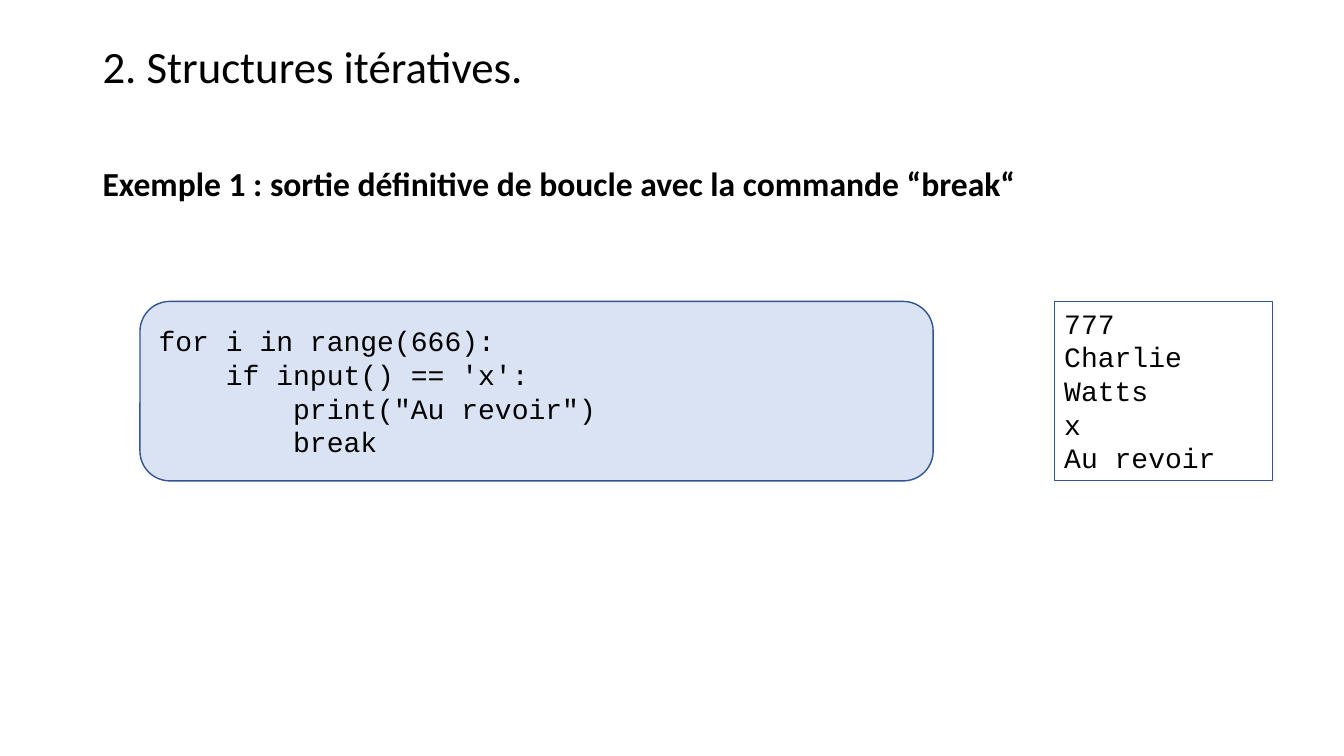
from dataclasses import dataclass

from pptx import Presentation
from pptx.dml.color import RGBColor
from pptx.enum.shapes import MSO_SHAPE
from pptx.enum.text import MSO_ANCHOR, PP_ALIGN
from pptx.util import Pt

RECTANGLE = MSO_SHAPE.RECTANGLE
ROUNDED = MSO_SHAPE.ROUNDED_RECTANGLE
TOP, MIDDLE = MSO_ANCHOR.TOP, MSO_ANCHOR.MIDDLE
LEFT = PP_ALIGN.LEFT


@dataclass(frozen=True)
class Theme:
    ink: RGBColor = RGBColor(0x00, 0x00, 0x00)
    panel: RGBColor = RGBColor(0xDA, 0xE3, 0xF3)
    border: RGBColor = RGBColor(0x32, 0x54, 0x91)
    text_font: str = "Calibri"
    code_font: str = "Courier New"
    title_size: int = 32
    heading_size: int = 24
    code_size: int = 20


THEME = Theme()
TITLE_FORMAT = {"name": THEME.text_font, "size": Pt(THEME.title_size)}
HEADING_FORMAT = {"name": THEME.text_font, "size": Pt(THEME.heading_size), "bold": True}
CODE_FORMAT = {"name": THEME.code_font, "size": Pt(THEME.code_size)}

PROGRAM = [
    "for i in range(666):",
    "    if input() == 'x':",
    "        print(\"Au revoir\")",
    "        break",
]
CONSOLE = ["777", "Charlie", "Watts", "x", "Au revoir"]


def write_lines(shape, lines, font_format, anchor=TOP, line_spacing=1.0):
    frame = shape.text_frame
    frame.word_wrap = True
    frame.vertical_anchor = anchor
    for index, line in enumerate(lines):
        paragraph = frame.paragraphs[0] if index == 0 else frame.add_paragraph()
        paragraph.alignment = LEFT
        paragraph.line_spacing = line_spacing
        run = paragraph.add_run()
        run.text = line
        for attribute, value in font_format.items():
            setattr(run.font, attribute, value)
        run.font.color.rgb = THEME.ink


def add_panel(slide, kind, box, line_width, fill=None):
    shape = slide.shapes.add_shape(kind, *map(Pt, box))
    shape.shadow.inherit = False
    if fill is None:
        shape.fill.background()
    else:
        shape.fill.solid()
        shape.fill.fore_color.rgb = fill
    shape.line.color.rgb = THEME.border
    shape.line.width = Pt(line_width)
    return shape


def add_headings(slide, box):
    """Slide title with the example heading below it."""
    left, top, width, height = box
    title = slide.shapes.add_textbox(Pt(left), Pt(top), Pt(width), Pt(45))
    write_lines(title, ["2. Structures itératives."], TITLE_FORMAT, line_spacing=0.9)
    heading = slide.shapes.add_textbox(
        Pt(left), Pt(top + height - 36), Pt(width), Pt(36))
    write_lines(
        heading,
        ["Exemple 1 : sortie définitive de boucle avec la commande “break“"],
        HEADING_FORMAT)


def add_example(slide, box):
    """Program on the left, its console session on the right."""
    left, top, width, height = box
    program_width, console_width = 566.6, 156.2

    program = add_panel(
        slide, ROUNDED, (left, top, program_width, height), 1, THEME.panel)
    write_lines(program, PROGRAM, CODE_FORMAT, anchor=MIDDLE)

    console_left = left + width - console_width
    console = add_panel(
        slide, RECTANGLE, (console_left, top, console_width, height), 0.75)
    write_lines(console, CONSOLE, CODE_FORMAT)


def main():
    presentation = Presentation()
    presentation.slide_width, presentation.slide_height = Pt(960), Pt(540)
    slide = presentation.slides.add_slide(presentation.slide_layouts[6])
    add_headings(slide, (66.2, 28.8, 828, 120.2))
    add_example(slide, (100, 215.3, 809.3, 128.2))
    presentation.save("out.pptx")


if __name__ == "__main__":
    main()
